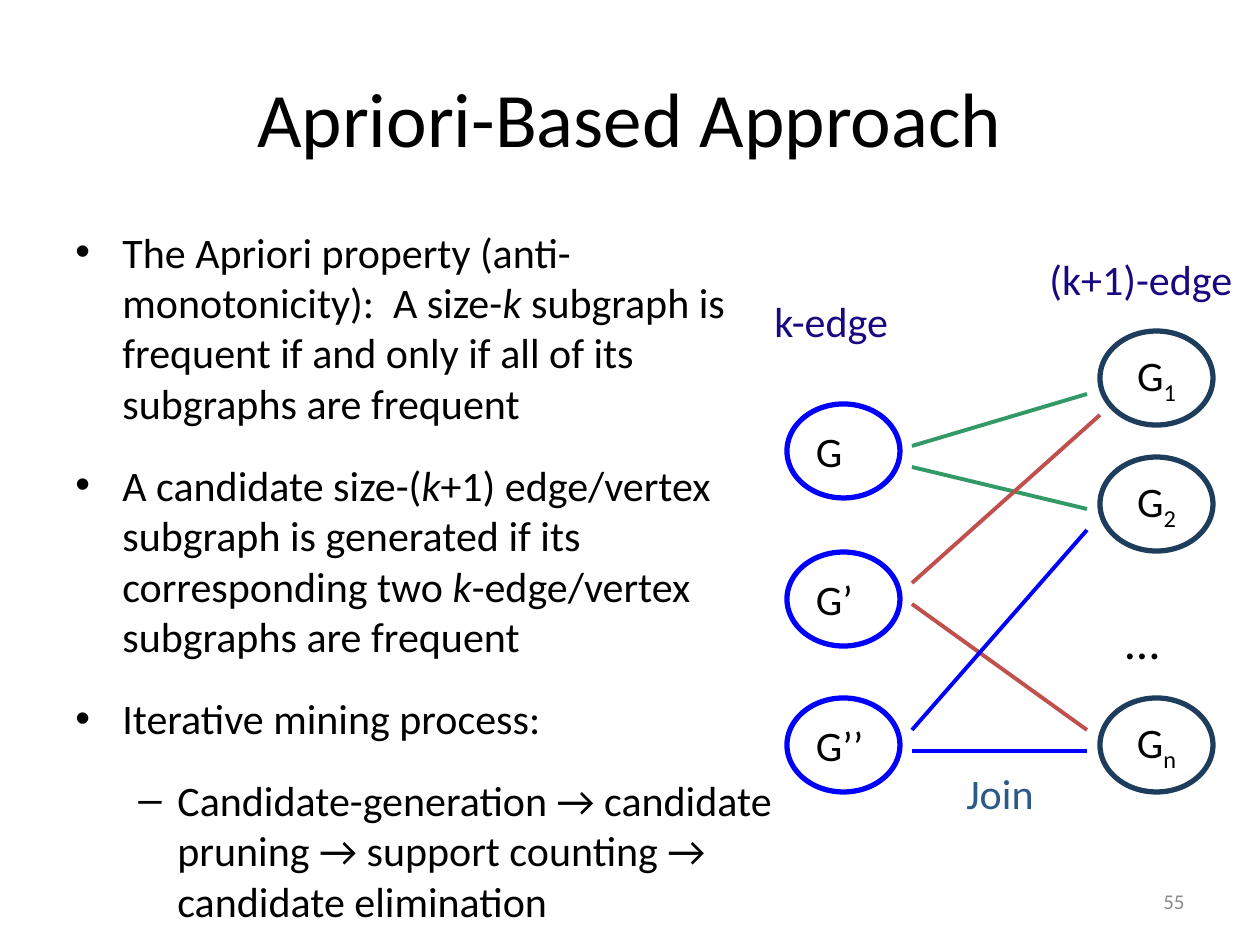
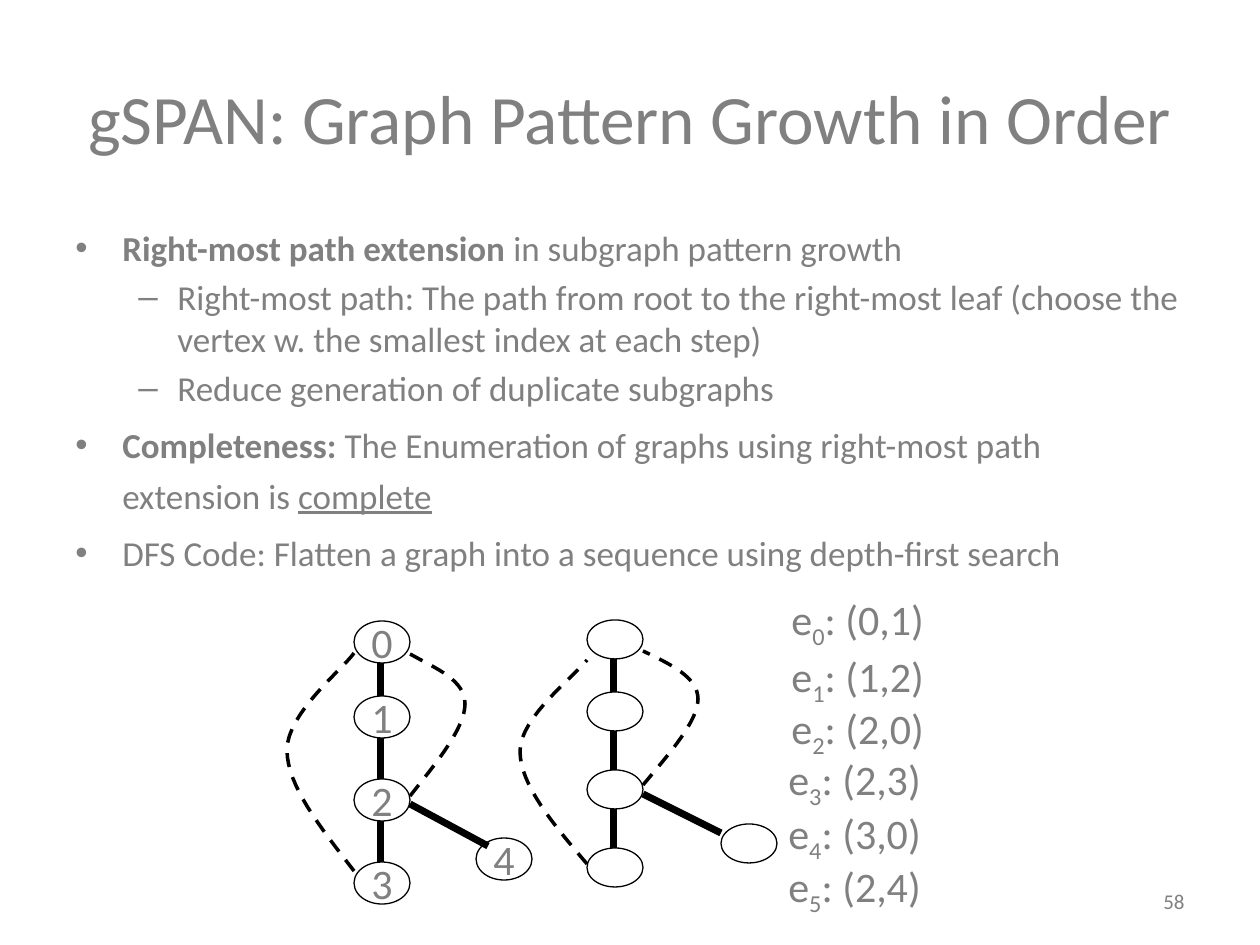
import lxml.etree
import pptx
import pptx.dml.color
import pptx.enum.dml
import pptx.enum.shapes
import pptx.enum.text
import pptx.oxml.ns
import pptx.util

PX = 914400 / 126
FONT = "Calibri"
COLORS = {
    "black": "000000", "white": "FFFFFF", "gray": "808080", "number": "8C8C8C",
    "blue": "0000FF", "navy": "1E3D5C", "green": "339966", "red": "C0504D",
    "label": "170981", "join": "2C5A88",
}
# bullet sign, left margin and hanging indent for each level
LEVELS = [("•", 47, -47), ("–", 102, -39)]
ALIGN = pptx.enum.text.PP_ALIGN
ANCHOR = pptx.enum.text.MSO_ANCHOR


def emu(px):
    return pptx.util.Emu(round(px * PX))


def rgb(name):
    return pptx.dml.color.RGBColor.from_string(COLORS[name])


def bezier(start, control_1, control_2, end, steps=16):
    """Points after start along a cubic curve."""
    for step in range(1, steps + 1):
        t = step / steps
        weights = ((1 - t) ** 3, 3 * t * (1 - t) ** 2, 3 * t * t * (1 - t), t ** 3)
        corners = (start, control_1, control_2, end)
        yield tuple(sum(w * corner[axis] for w, corner in zip(weights, corners))
                    for axis in (0, 1))


class Deck:
    def __init__(self):
        self.presentation = pptx.Presentation()
        self.presentation.slide_width = emu(1260)
        self.presentation.slide_height = emu(945)
        self.slide = None
        self.color = "black"

    def start_slide(self, title, title_size, number, color, number_color):
        self.slide = self.presentation.slides.add_slide(self.presentation.slide_layouts[6])
        self.color = color
        frame = self.text_box(63, 38, 1134, 158, anchor=ANCHOR.MIDDLE)
        self.add_runs(frame.paragraphs[0], [title], title_size, align=ALIGN.CENTER)
        frame = self.text_box(903, 876, 294, 50, anchor=ANCHOR.MIDDLE)
        self.add_runs(frame.paragraphs[0], [number], 12, number_color, ALIGN.RIGHT)

    def text_box(self, x, y, width, height, wrap=True, anchor=ANCHOR.TOP):
        shape = self.slide.shapes.add_textbox(emu(x), emu(y), emu(width), emu(height))
        frame = shape.text_frame
        frame.word_wrap = wrap
        frame.vertical_anchor = anchor
        return frame

    def add_runs(self, paragraph, runs, size, color=None, align=ALIGN.LEFT):
        """Each run is plain text or a (text, style) pair."""
        paragraph.alignment = align
        for item in runs:
            text, style = (item, "") if isinstance(item, str) else item
            run = paragraph.add_run()
            run.text = text
            run.font.name = FONT
            run.font.size = pptx.util.Pt(size)
            run.font.color.rgb = rgb(color or self.color)
            if style == "bold":
                run.font.bold = True
            elif style == "italic":
                run.font.italic = True
            elif style == "underline":
                run.font.underline = True
            elif style == "sub":
                run.font._element.set("baseline", "-25000")

    def bullets(self, items, height, width, size, before, after=0):
        """Each item is (level, line spacing, runs)."""
        frame = self.text_box(63, 220, width, height)
        for index, (level, line_spacing, runs) in enumerate(items):
            paragraph = frame.add_paragraph() if index else frame.paragraphs[0]
            paragraph.level = level
            paragraph.line_spacing = line_spacing
            paragraph.space_before = pptx.util.Pt(before if index else 0)
            paragraph.space_after = pptx.util.Pt(after)
            sign, margin, indent = LEVELS[level]
            properties = paragraph._p.get_or_add_pPr()
            properties.set("marL", str(emu(margin)))
            properties.set("indent", str(emu(indent)))
            for tag, key, value in (("a:buFont", "typeface", "Arial"),
                                    ("a:buChar", "char", sign)):
                element = lxml.etree.SubElement(properties, pptx.oxml.ns.qn(tag))
                element.set(key, value)
            self.add_runs(paragraph, runs, size)

    def label(self, x, y, width, height, runs, size=24, color=None):
        frame = self.text_box(x, y, width, height, wrap=False)
        frame.auto_size = pptx.enum.text.MSO_AUTO_SIZE.SHAPE_TO_FIT_TEXT
        self.add_runs(frame.paragraphs[0], runs, size, color)

    def node(self, x, y, width, height, runs=(), line="black", line_width=0.75,
             fill=None, align=ALIGN.CENTER):
        shape = self.slide.shapes.add_shape(
            pptx.enum.shapes.MSO_SHAPE.OVAL, emu(x), emu(y), emu(width), emu(height))
        shape.shadow.inherit = False
        if fill:
            shape.fill.solid()
            shape.fill.fore_color.rgb = rgb(fill)
        else:
            shape.fill.background()
        shape.line.color.rgb = rgb(line)
        shape.line.width = pptx.util.Pt(line_width)
        if runs:
            shape.text_frame.word_wrap = False
            shape.text_frame.vertical_anchor = ANCHOR.MIDDLE
            self.add_runs(shape.text_frame.paragraphs[0], runs, 24, align=align)

    def edge(self, start, end, color="black", width=4):
        connector = self.slide.shapes.add_connector(
            pptx.enum.shapes.MSO_CONNECTOR.STRAIGHT,
            emu(start[0]), emu(start[1]), emu(end[0]), emu(end[1]))
        connector.line.color.rgb = rgb(color)
        connector.line.width = pptx.util.Pt(width)
        lxml.etree.SubElement(connector._element.spPr, pptx.oxml.ns.qn("a:effectLst"))

    def dashed_arc(self, start, *curves):
        builder = self.slide.shapes.build_freeform(emu(start[0]), emu(start[1]), 1.0)
        for curve in curves:
            points = [(emu(x), emu(y)) for x, y in bezier(start, *curve)]
            builder.add_line_segments(points, close=False)
            start = curve[-1]
        shape = builder.convert_to_shape()
        shape.shadow.inherit = False
        shape.fill.background()
        shape.line.color.rgb = rgb("black")
        shape.line.width = pptx.util.Pt(2)
        shape.line.dash_style = pptx.enum.dml.MSO_LINE.DASH

    def search_tree(self, x, tops, height, leaf, branch, names=None):
        """A spine of nodes with one leaf that branches off the third."""
        places = [(x, top) for top in tops] + [leaf]
        for index, (left, top) in enumerate(places):
            self.node(left, top, 56, height, [names[index]] if names else ())
        for upper, lower in zip(tops, tops[1:]):
            self.edge((x + 27, upper + height), (x + 27, lower))
        self.edge(*branch)


def apriori_slide(deck):
    deck.start_slide("Apriori-Based Approach", 44, "55", "black", "number")
    deck.bullets([
        (0, 1.0, ["The Apriori property (anti-monotonicity):  A size-", ("k ", "italic"),
                  "subgraph is frequent if and only if all of its subgraphs are frequent"]),
        (0, 1.0, ["A candidate size-(", ("k", "italic"),
                  "+1) edge/vertex subgraph is generated if its corresponding two ",
                  ("k", "italic"), "-edge/vertex subgraphs are frequent"]),
        (0, 1.0, ["Iterative mining process:"]),
        (1, 1.0, ["Candidate-generation → candidate pruning → support counting "
                  "→ candidate elimination"]),
    ], height=706, width=722, size=24, before=12, after=6)

    # Frequent graphs on the left, candidates on the right
    for name, top in (("G", 404), ("G’", 552), ("G’’", 698)):
        deck.node(787, top, 113, 94, [name], "blue", 3, "white", ALIGN.LEFT)
    for index, top in (("1", 331), ("2", 457), ("n", 698)):
        deck.node(1100, top, 113, 94, ["G", (index, "sub")], "navy", 3, "white")

    # Joins
    for color, start, end in (
        ("green", (912, 446), (1087, 394)), ("green", (912, 467), (1087, 509)),
        ("red", (912, 583), (1100, 415)), ("red", (912, 604), (1087, 730)),
        ("blue", (912, 730), (1087, 530)), ("blue", (912, 751), (1087, 751)),
    ):
        deck.edge(start, end, color, 2.25)

    deck.label(762, 289, 150, 63, ["k-edge"], color="label")
    deck.label(1037, 247, 222, 63, ["(k+1)-edge"], color="label")
    deck.label(954, 761, 96, 63, ["Join"], color="join")
    deck.label(1113, 604, 64, 72, ["…"], size=28)


def gspan_slide(deck):
    deck.start_slide("gSPAN: Graph Pattern Growth in Order", 39.6, "58", "gray", "gray")
    deck.bullets([
        (0, 1.0, [("Right-most path extension ", "bold"), "in subgraph pattern growth"]),
        (1, 1.0, ["Right-most path: The path from root to the right-most leaf "
                  "(choose the vertex w. the smallest index at each step)"]),
        (1, 1.0, ["Reduce generation of duplicate subgraphs"]),
        (0, 1.2, [("Completeness:", "bold"),
                  " The Enumeration of graphs using right-most path extension is ",
                  ("complete", "underline")]),
        (0, 1.2, ["DFS Code: Flatten a graph into a sequence using depth-first search"]),
    ], height=624, width=1134, size=20, before=4)

    # Numbered tree with its backward edges
    deck.search_tree(354, (621, 696, 779, 862), 42, leaf=(476, 838),
                     branch=((410, 804), (488, 846)), names="01234")
    deck.dashed_arc((354, 871), ((321, 828), (287, 786), (287, 750)),
                    ((287, 713), (343, 669), (354, 653)))
    deck.dashed_arc((410, 796), ((437, 762), (465, 728), (465, 704)),
                    ((465, 680), (437, 669), (410, 654)))

    # Unnumbered tree with its backward edges
    deck.search_tree(587, (620, 692, 770, 848), 39, leaf=(721, 824),
                     branch=((643, 794), (721, 833)))
    deck.dashed_arc((587, 864), ((553, 824), (520, 785), (520, 751)),
                    ((520, 717), (576, 675), (587, 660)))
    deck.dashed_arc((643, 785), ((670, 753), (698, 721), (698, 699)),
                    ((698, 677), (670, 664), (643, 651)))

    # Edge sequence
    edges = (("(0,1)", 779, 587), ("(1,2)", 779, 644), ("(2,0)", 779, 696),
             ("(2,3)", 776, 747), ("(3,0)", 776, 801), ("(2,4)", 776, 854))
    for index, (pair, left, top) in enumerate(edges):
        deck.label(left, top, 161, 63, ["e", (str(index), "sub"), f": {pair}"])


def main():
    deck = Deck()
    apriori_slide(deck)
    gspan_slide(deck)
    deck.presentation.save("out.pptx")


if __name__ == "__main__":
    main()
